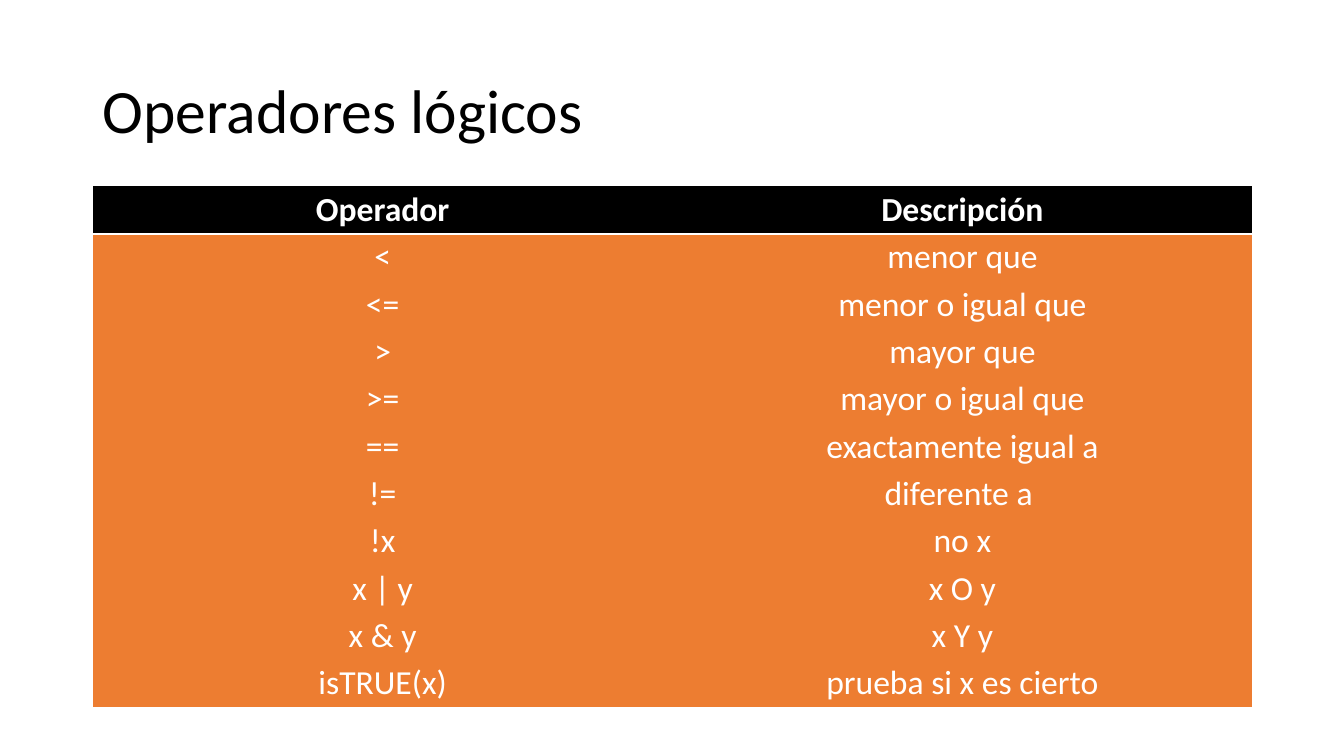
from lxml import etree
from pptx import Presentation
from pptx.dml.color import RGBColor
from pptx.enum import text
from pptx.oxml import ns
from pptx.util import Inches, Pt

# Content
TITLE = "Operadores lógicos"
ROWS = [
    ("Operador", "Descripción"),
    ("<", "menor que"),
    ("<=", "menor o igual que"),
    (">", "mayor que"),
    (">=", "mayor o igual que"),
    ("==", "exactamente igual a"),
    ("!=", "diferente a "),
    ("!x", "no x"),
    ("x | y", "x O y"),
    ("x & y", "x Y y"),
    ("isTRUE(x)", "prueba si x es cierto"),
]
COLORS = {"header": "000000", "body": "ED7D31", "light": "FFFFFF", "title": "000000"}
FONT = "Calibri"
PLAIN_STYLE = "{2D5ABB26-0587-4C30-8999-92F81FD0307C}"

# Layout
LEFT, WIDTH = 0.92, 11.5
TITLE_TOP, TITLE_HEIGHT = 0.4, 1.45
TABLE_TOP = TITLE_TOP + TITLE_HEIGHT
ROW_HEIGHT = 0.47
INSET = 0.03


def add_run(p, words, size, color, bold=False):
    r = p.add_run()
    r.text = words
    r.font.name = FONT
    r.font.size = Pt(size)
    r.font.bold = bold
    r.font.color.rgb = RGBColor.from_string(COLORS[color])


def add_bottom_border(cell, color, width):
    tcPr = cell._tc.get_or_add_tcPr()
    line = etree.Element(ns.qn("a:lnB"), w=str(Pt(width)))
    fill = etree.SubElement(line, ns.qn("a:solidFill"))
    etree.SubElement(fill, ns.qn("a:srgbClr"), val=COLORS[color])
    tcPr.insert(0, line)


prs = Presentation()
prs.slide_width, prs.slide_height = Inches(13.33), Inches(7.5)
s = prs.slides.add_slide(prs.slide_layouts[5])

# Title
title = s.shapes.title
title.left, title.top = Inches(LEFT), Inches(TITLE_TOP)
title.width, title.height = Inches(WIDTH), Inches(TITLE_HEIGHT)
tf = title.text_frame
tf.vertical_anchor = text.MSO_ANCHOR.MIDDLE
p = tf.paragraphs[0]
p.alignment = text.PP_ALIGN.LEFT
p.line_spacing = 0.9
add_run(p, TITLE, 44, "title")

# Table of operators
table = s.shapes.add_table(
    len(ROWS), len(ROWS[0]), Inches(LEFT), Inches(TABLE_TOP),
    Inches(WIDTH), Inches(ROW_HEIGHT * len(ROWS))).table
table.horz_banding = False
table._tbl.tblPr.find(ns.qn("a:tableStyleId")).text = PLAIN_STYLE

for i, row in enumerate(ROWS):
    is_header = i == 0
    for j, words in enumerate(row):
        cell = table.cell(i, j)
        cell.margin_left = cell.margin_right = Inches(INSET)
        cell.margin_top = cell.margin_bottom = Inches(INSET)
        cell.fill.solid()
        cell.fill.fore_color.rgb = RGBColor.from_string(
            COLORS["header" if is_header else "body"])
        if is_header:
            add_bottom_border(cell, "light", 2)
        p = cell.text_frame.paragraphs[0]
        p.alignment = text.PP_ALIGN.CENTER
        add_run(p, words, 24, "light", bold=is_header)

prs.save("out.pptx")
